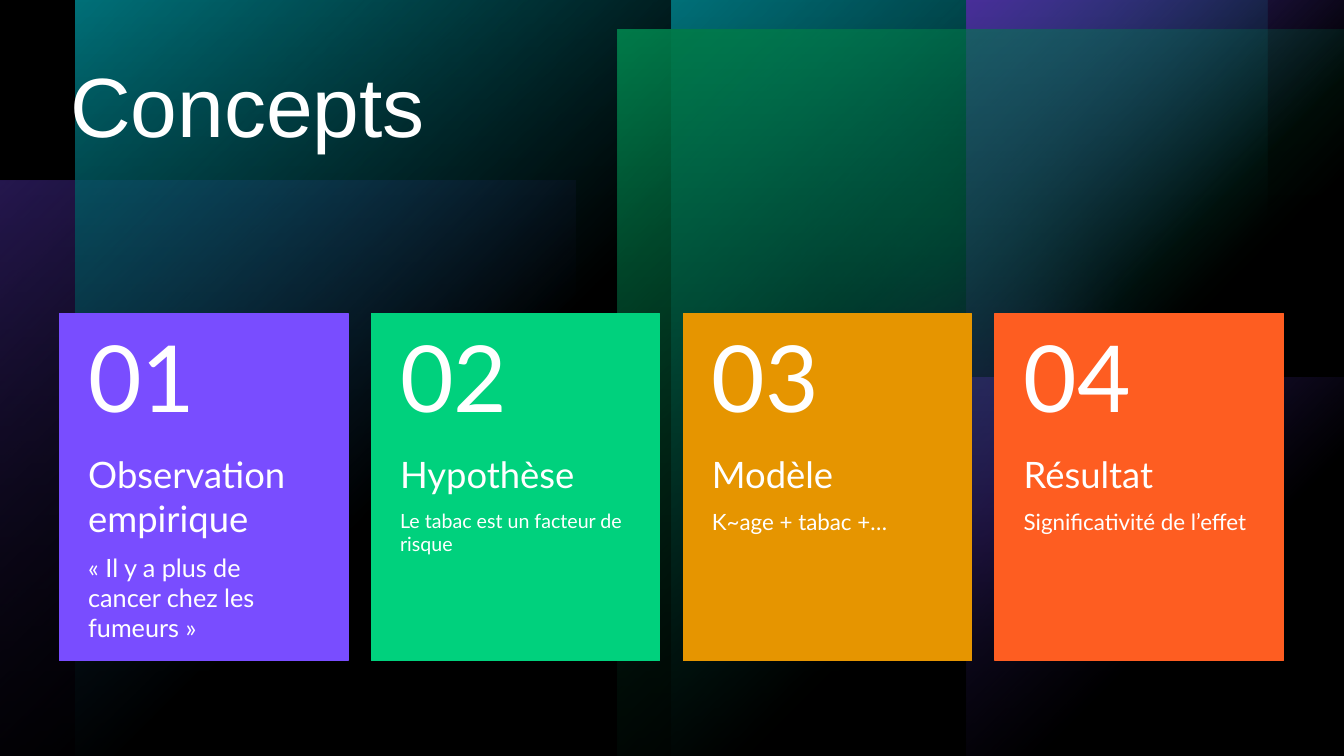
from lxml import etree
from pptx import Presentation
from pptx.dml.color import RGBColor
from pptx.enum import shapes, text
from pptx.oxml import ns
from pptx.util import Pt

# Content
COLORS = {"black": "000000", "white": "FFFFFF", "purple": "794DFF", "green": "00D17D",
          "teal": "00BAC8", "amber": "E69500", "orange": "FE5D21"}
TITLE = "Concepts"
CARDS = [  # number, heading, detail, detail size, color
    ("01", "Observation empirique", "« Il y a plus de cancer chez les fumeurs »", 18, "purple"),
    ("02", "Hypothèse", "Le tabac est un facteur de risque", 14, "green"),
    ("03", "Modèle", "K~age + tabac +…", 16, "amber"),
    ("04", "Résultat", "Significativité de l’effet", 16, "orange"),
]
WIDTH, HEIGHT = 960, 540
GLOWS = [  # left, top, diameter, color, opacity
    (502.5, 0, 340, "green", 96),
    (482, 97, 433, "purple", 60),
]
PANELS = [  # left, top, width, height, color, opacity
    (479.5, 0, 425.5, 540, "teal", 100),
    (54, 0, 425.5, 540, "teal", 100),
    (690, 270, 270, 270, "purple", 100),
    (690, 0, 270, 270, "purple", 100),
    (441, 21, 519, 519, "green", 100),
]
SIDE_PANEL = (0, 129, 411, 411, "purple", 60)
CARD = {"left": 42.5, "top": 224, "width": 206, "height": 248, "pitch": 222.75, "split": 99}
SOFT_EDGE = 1270000

presentation = Presentation()
presentation.slide_width, presentation.slide_height = Pt(WIDTH), Pt(HEIGHT)
slide = presentation.slides.add_slide(presentation.slide_layouts[6])
slide.background.fill.solid()
slide.background.fill.fore_color.rgb = RGBColor.from_string(COLORS["black"])


def add_block(kind, left, top, width, height, color):
    shape = slide.shapes.add_shape(kind, Pt(left), Pt(top), Pt(width), Pt(height))
    shape.shadow.inherit = False
    shape.fill.solid()
    shape.fill.fore_color.rgb = RGBColor.from_string(COLORS[color])
    shape.line.fill.background()
    return shape


def add_element(parent, tag, **attributes):
    return etree.SubElement(parent, ns.qn(tag), {k: str(v) for k, v in attributes.items()})


def set_gradient(shape, color, stops, direction):
    """Swap the solid fill for a gradient; stops are (position, opacity)."""
    solid = shape.fill._xPr.find(ns.qn("a:solidFill"))
    gradient = etree.Element(ns.qn("a:gradFill"), rotWithShape="1")
    stop_list = add_element(gradient, "a:gsLst")
    for position, opacity in stops:
        stop = add_element(stop_list, "a:gs", pos=position * 1000)
        tint = add_element(stop, "a:srgbClr", val=COLORS[color])
        add_element(tint, "a:alpha", val=opacity * 1000)
    if direction == "corner":
        circle = add_element(gradient, "a:path", path="circle")
        add_element(circle, "a:fillToRect", r=100000, b=100000)
    else:
        add_element(gradient, "a:lin", ang=direction * 60000, scaled=0)
    solid.getparent().replace(solid, gradient)


def add_panel(left, top, width, height, color, opacity):
    panel = add_block(shapes.MSO_SHAPE.RECTANGLE, left, top, width, height, color)
    set_gradient(panel, color, [(0, opacity), (60, 0)], "corner")


def add_text(left, top, width, height, lines, frame_format, paragraph_format, font="Lato"):
    box = slide.shapes.add_textbox(Pt(left), Pt(top), Pt(width), Pt(height))
    frame = box.text_frame
    for name, value in {"word_wrap": True, **frame_format}.items():
        setattr(frame, name, value)
    for index, (words, size) in enumerate(lines):
        paragraph = frame.add_paragraph() if index else frame.paragraphs[0]
        for name, value in paragraph_format.items():
            setattr(paragraph, name, value)
        run = paragraph.add_run()
        run.text = words
        for name, value in {"name": font, "size": Pt(size)}.items():
            setattr(run.font, name, value)
        run.font.color.rgb = RGBColor.from_string(COLORS["white"])


# Backdrop: soft glows, corner-lit panels and a darkening veil
add_panel(*SIDE_PANEL)
for left, top, diameter, color, opacity in GLOWS:
    glow = add_block(shapes.MSO_SHAPE.OVAL, left, top, diameter, diameter, color)
    tint = glow.fill._xPr.find(ns.qn("a:solidFill"))[0]
    add_element(tint, "a:alpha", val=opacity * 1000)
    effects = glow._element.spPr.find(ns.qn("a:effectLst"))
    add_element(effects, "a:softEdge", rad=SOFT_EDGE)
for panel in PANELS:
    add_panel(*panel)
veil = add_block(shapes.MSO_SHAPE.RECTANGLE, 0, 0, WIDTH, HEIGHT, "black")
set_gradient(veil, "black", [(0, 40), (100, 80)], 90)

# Title
add_text(43, 42.5, 872, 142.5, [(TITLE, 60)], {}, {"line_spacing": 0.9}, "Arial")

# Cards
side_margins = {"margin_left": Pt(20.5), "margin_right": Pt(20.5)}
number_frame = {**side_margins, "margin_top": Pt(13), "margin_bottom": Pt(13),
                "vertical_anchor": text.MSO_ANCHOR.MIDDLE}
body_frame = {**side_margins, "margin_top": 0, "margin_bottom": Pt(26)}
for index, (number, heading, detail, detail_size, color) in enumerate(CARDS):
    left = CARD["left"] + index * CARD["pitch"]
    top, width, split = CARD["top"], CARD["width"], CARD["split"]
    card = add_block(shapes.MSO_SHAPE.RECTANGLE, left, top, width, CARD["height"], color)
    card.line.color.rgb = RGBColor.from_string(COLORS[color])
    card.line.width = Pt(1)
    add_text(left, top + split, width, CARD["height"] - split,
             [(heading, 26), (detail, detail_size)], body_frame, {"space_after": Pt(9)})
    add_text(left, top, width, split, [(number, 66)], number_frame, {"line_spacing": 0.9})

presentation.save("out.pptx")
